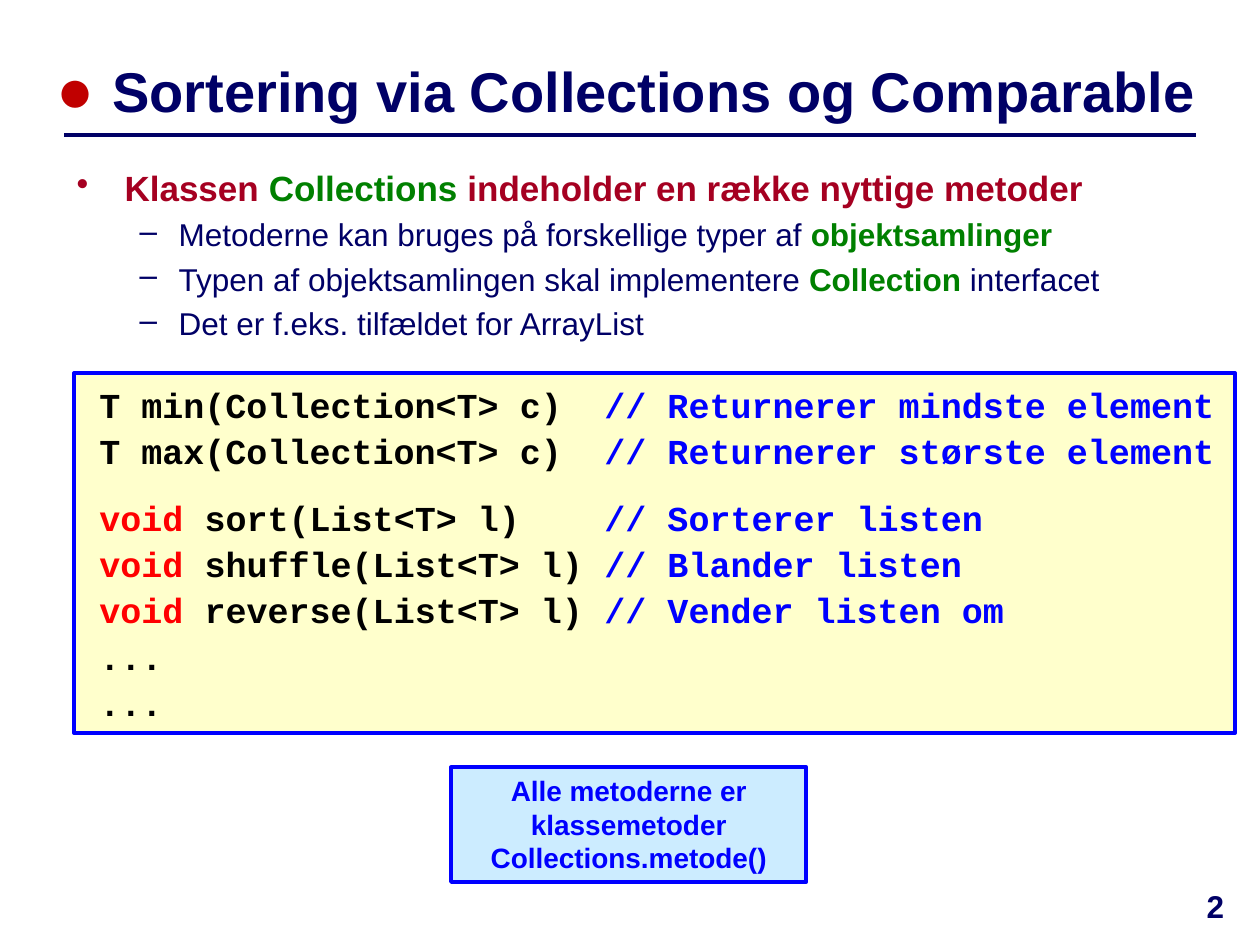
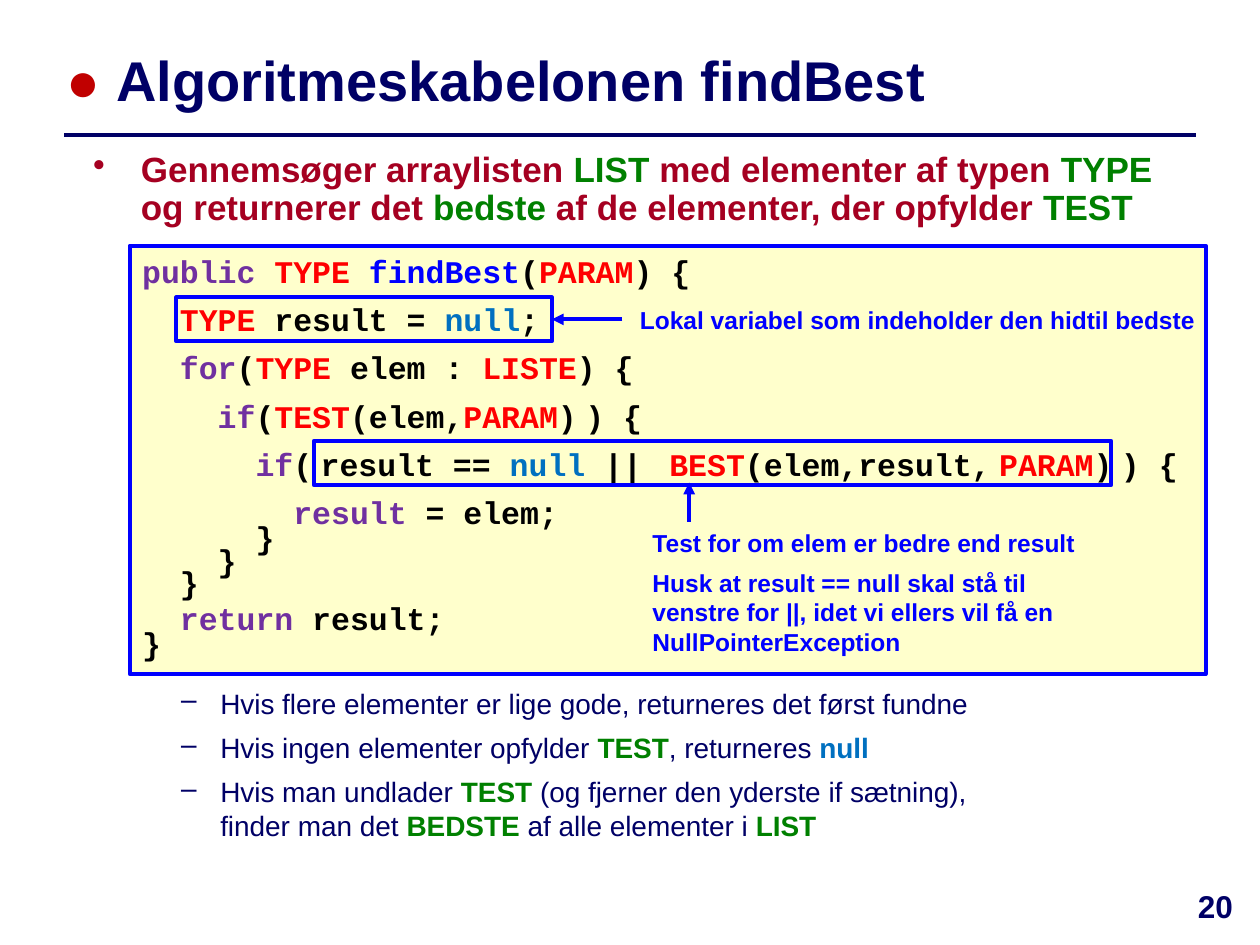
from dataclasses import dataclass

from lxml import etree
from pptx import Presentation
from pptx.dml.color import RGBColor
from pptx.enum.shapes import MSO_CONNECTOR, MSO_SHAPE
from pptx.enum.text import MSO_ANCHOR, MSO_AUTO_SIZE, PP_ALIGN
from pptx.oxml.ns import qn
from pptx.util import Inches, Pt

# Grid: 100 columns by 75 rows of square cells
CELL = Inches(0.1)
COLUMNS, ROWS = 100, 75
TITLE_ONLY = 5

LEFT, CENTER = PP_ALIGN.LEFT, PP_ALIGN.CENTER
TOP, MIDDLE = MSO_ANCHOR.TOP, MSO_ANCHOR.MIDDLE
NO_AUTO_SIZE = MSO_AUTO_SIZE.NONE
RECTANGLE, STRAIGHT = MSO_SHAPE.RECTANGLE, MSO_CONNECTOR.STRAIGHT
RIGHT_SIDE = 3

# Colours
NAVY, BLUE, BLACK = "000066", "0000FF", "000000"
CRIMSON, DOT_RED, RED = "A50021", "C00000", "FF0000"
GREEN, PURPLE, NULL_BLUE = "008000", "7030A0", "0070C0"
CODE_FILL, CALLOUT_FILL = "FFFFCC", "CCECFF"

SANS, MONO = "Arial", "Courier New"
SMALL_GAP = (" ", BLACK, 8)


@dataclass
class Look:
    """How text is set; a run given as (text, colour, size) overrides it."""
    size: float
    color: str
    bold: bool = True
    font: str = SANS
    align: int = LEFT
    bullet: str = ""
    indent: float = 0       # columns to the text
    hanging: float = 0      # columns back to the bullet
    spacing: float = 1.0
    before: float = 0


HEADLINE = Look(20, CRIMSON, bullet="•", indent=3.8, hanging=3.8, spacing=0.9)
POINT = Look(18, NAVY, bold=False, bullet="–", indent=8.1, hanging=3.1,
             spacing=0.9, before=6)
REMARK = Look(16, NAVY, bold=False, bullet="–", indent=8.1, hanging=3.1, before=6)
LISTING = Look(20, BLACK, font=MONO, indent=1, spacing=1.1)
LISTING_GROUP = Look(20, BLACK, font=MONO, indent=1, spacing=1.1, before=12)
CODE_START = Look(18, BLACK, font=MONO)
CODE = Look(18, BLACK, font=MONO, before=6)
CODE_END = Look(18, BLACK, font=MONO, spacing=0.6)
CALLOUT = Look(16, BLUE, align=CENTER)
NOTE = Look(14, BLUE, before=6)
TITLE = Look(32, NAVY)
PAGE_NUMBER = Look(18, NAVY, align=CENTER)


def rgb(color):
    return RGBColor.from_string(color)


def cells(*lengths):
    return [round(length * CELL) for length in lengths]


# Text
def set_indent(paragraph, look):
    properties = paragraph._p.get_or_add_pPr()
    indent, hanging = cells(look.indent, look.hanging)
    properties.set("marL", str(indent))
    properties.set("indent", str(-hanging))
    if look.bullet:
        etree.SubElement(properties, qn("a:buChar")).set("char", look.bullet)
    else:
        etree.SubElement(properties, qn("a:buNone"))


def write_paragraph(paragraph, look, parts, first):
    set_indent(paragraph, look)
    paragraph.alignment = look.align
    paragraph.line_spacing = look.spacing
    paragraph.space_before = Pt(0 if first else look.before)
    for part in parts:
        plain = isinstance(part, str)
        text, color, *size = (part, look.color) if plain else part
        run = paragraph.add_run()
        run.text = text
        run.font.name = look.font
        run.font.size = Pt(size[0] if size else look.size)
        run.font.bold = look.bold if plain else True
        run.font.color.rgb = rgb(color)


def write_text(shape, lines, anchor=TOP):
    """Each line is (look, part, part, ...)."""
    frame = shape.text_frame
    frame.word_wrap = True
    frame.auto_size = NO_AUTO_SIZE
    frame.vertical_anchor = anchor
    for number, (look, *parts) in enumerate(lines):
        paragraph = frame.add_paragraph() if number else frame.paragraphs[0]
        write_paragraph(paragraph, look, parts, first=number == 0)


def add_text(slide, place, lines):
    write_text(slide.shapes.add_textbox(*cells(*place)), lines)


# Boxes and lines
def add_box(slide, place, fill=None, lines=()):
    box = slide.shapes.add_shape(RECTANGLE, *cells(*place))
    box.shadow.inherit = False
    box.line.color.rgb = rgb(BLUE)
    box.line.width = Pt(2.25)
    if fill:
        box.fill.solid()
        box.fill.fore_color.rgb = rgb(fill)
    else:
        box.fill.background()
    if lines:
        write_text(box, lines)
    return box


def add_line(slide, start, end, color=BLUE, width=2.25, arrow=False):
    line = slide.shapes.add_connector(STRAIGHT, *cells(*start, *end))
    line.line.color.rgb = rgb(color)
    line.line.width = Pt(width)
    if arrow:
        etree.SubElement(line.line._get_or_add_ln(), qn("a:tailEnd")).set("type", "triangle")
    etree.SubElement(line._element.spPr, qn("a:effectLst"))
    return line


# What the slides share
def add_titled_slide(presentation, title_place, dot_size, title, number):
    slide = presentation.slides.add_slide(presentation.slide_layouts[TITLE_ONLY])
    placeholder = slide.shapes.title
    placeholder.left, placeholder.top, placeholder.width, placeholder.height = cells(*title_place)
    write_text(placeholder, [(TITLE, ("● ", DOT_RED, dot_size), title)], MIDDLE)
    add_line(slide, (5.1, 10.7), (COLUMNS - 5.1, 10.7), NAVY, 2)
    add_text(slide, (COLUMNS - 7.1, 69.9, 7.1, 5), [(PAGE_NUMBER, str(number))])
    return slide


def build_sorting_slide(presentation):
    slide = add_titled_slide(presentation, (3.5, 3.6, 94.9, 6.7), 36,
                             "Sortering via Collections og Comparable", 2)
    add_text(slide, (5.1, 13.1, 94.9, 15.8), [
        (HEADLINE, "Klassen ", ("Collections", GREEN), " indeholder en række nyttige metoder"),
        (POINT, "Metoderne kan bruges på forskellige typer af ", ("objektsamlinger", GREEN)),
        (POINT, "Typen af objektsamlingen skal implementere ", ("Collection", GREEN),
         " interfacet"),
        (POINT, "Det er f.eks. tilfældet for ArrayList"),
    ])
    add_box(slide, (5.9, 29.6, 92.1, 28.6), CODE_FILL, [
        (LISTING, "T min(Collection<T> c)  ", ("// Returnerer mindste element", BLUE)),
        (LISTING, "T max(Collection<T> c)  ", ("// Returnerer største element", BLUE)),
        (LISTING_GROUP, ("void", RED), " sort(List<T> l)    ", ("// Sorterer listen", BLUE)),
        (LISTING, ("void ", RED), "shuffle(List<T> l) ", ("// Blander listen", BLUE)),
        (LISTING, ("void ", RED), "reverse(List<T> l) ", ("// Vender listen om", BLUE)),
        (LISTING, "..."),
        (LISTING, "..."),
    ])
    add_box(slide, (35.8, 60.9, 28.2, 9.1), CALLOUT_FILL, [
        (CALLOUT, "Alle metoderne er klassemetoder Collections.metode()"),
    ])


def build_find_best_slide(presentation):
    slide = add_titled_slide(presentation, (4.3, 2.5, 94.5, 7.5), 32,
                             "Algoritmeskabelonen findBest", 20)
    # Code template
    add_box(slide, (10.3, 19.5, 85.4, 34), CODE_FILL, [
        (CODE_START, ("public ", PURPLE), ("TYPE ", RED), ("findBest", BLUE), "(",
         ("PARAM", RED), ") {"),
        (CODE, "  ", ("TYPE", RED), " result = ", ("null", NULL_BLUE), ";"),
        (CODE, "  ", ("for", PURPLE), "(", ("TYPE ", RED), "elem : ", ("LISTE", RED), ") {"),
        (CODE, "    ", ("if", PURPLE), "(", ("TEST", RED), "(elem,", ("PARAM", RED), ")",
         SMALL_GAP, ") {"),
        (CODE, "      ", ("if", PURPLE), "(", SMALL_GAP, "result == ", ("null ", NULL_BLUE),
         "|| ", SMALL_GAP, ("BEST", RED), "(elem,result,", SMALL_GAP, ("PARAM", RED), ")",
         SMALL_GAP, ") {"),
        (CODE, "        ", ("result ", PURPLE), "= elem;"),
        (CODE_END, "      }"),
        (CODE_END, "    }"),
        (CODE_END, "  }"),
        (CODE_START, ("  return", PURPLE), " result;"),
        (CODE_END, "}"),
    ])
    add_text(slide, (8.4, 54, 70.3, 13.6), [
        (REMARK, "Hvis flere elementer er lige gode, returneres det først fundne"),
        (REMARK, "Hvis ingen elementer opfylder ", ("TEST", GREEN), ", returneres ",
         ("null", NULL_BLUE)),
        (REMARK, "Hvis man undlader ", ("TEST ", GREEN),
         "(og fjerner den yderste if sætning), finder man det ", ("BEDSTE ", GREEN),
         "af alle elementer i ", ("LIST", GREEN)),
    ])
    add_text(slide, (6.4, 11.6, 89.3, 7.5), [
        (HEADLINE, "Gennemsøger arraylisten ", ("LIST", GREEN), " med elementer af typen ",
         ("TYPE", GREEN), " og returnerer det ", ("bedste ", GREEN),
         "af de elementer, der opfylder ", ("TEST", GREEN)),
    ])
    # Notes on the code
    add_text(slide, (50.8, 41.4, 37.8, 11.2), [
        (NOTE, "Test for om elem er bedre end result"),
        (NOTE, "Husk at result == null skal stå til venstre for ||, "
               "idet vi ellers vil få en NullPointerException"),
    ])
    add_text(slide, (49.8, 23.7, 46.2, 3.3), [
        (NOTE, "Lokal variabel som indeholder den hidtil bedste"),
    ])
    # Frames and arrows
    variable_frame = add_box(slide, (14, 23.6, 29.8, 3.5))
    variable_arrow = add_line(slide, (49.4, 25.35), (43.8, 25.35), arrow=True)
    variable_arrow.end_connect(variable_frame, RIGHT_SIDE)
    add_line(slide, (54.7, 41.4), (54.7, 38.3), arrow=True)
    add_box(slide, (24.9, 35, 63.3, 3.5))


def main():
    presentation = Presentation()
    presentation.slide_width, presentation.slide_height = cells(COLUMNS, ROWS)
    build_sorting_slide(presentation)
    build_find_best_slide(presentation)
    presentation.save("out.pptx")


if __name__ == "__main__":
    main()
